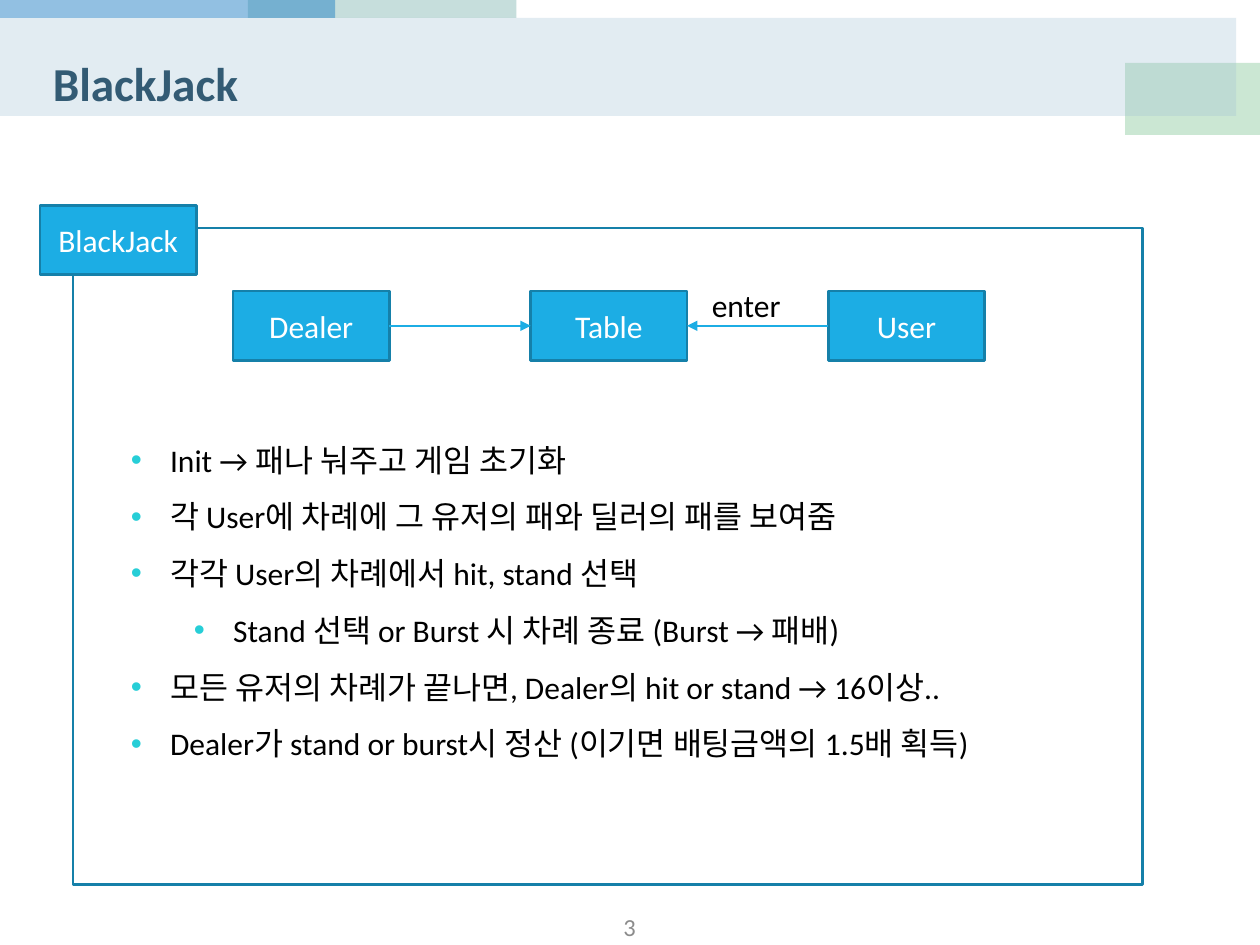
from dataclasses import dataclass

from lxml import etree
from pptx import Presentation
from pptx import util as u
from pptx.dml.color import RGBColor
from pptx.enum import shapes, text
from pptx.oxml.ns import qn


@dataclass(frozen=True)
class Theme:
    """Colours, font and type sizes of the slide."""
    font: str = "Calibri"
    title: str = "335B74"
    accent: str = "1CADE4"
    edge: str = "1580A9"
    bullet: str = "27CED7"
    body: str = "000000"
    light: str = "FFFFFF"
    muted: str = "8C8C8C"
    title_size: int = 27
    body_size: int = 18
    number_size: int = 14


T = Theme()

# left, top, width, height in cm, colour, opacity in percent
BANDS = [
    (5, 0, 5.41, 0.36, "A1C8C5", 60),
    (0, 0, 6.76, 0.36, "2683C6", 50),
    (22.68, 1.27, 2.72, 1.45, "7EC492", 40),
    (0, 0.36, 24.92, 1.98, "A0C1D5", 30),
]
BOX_W, BOX_H = 3.15, 1.4
ROW_LEFT, ROW_TOP, ROW_STEP = 4.7, 5.87, 6
ACTORS = ["Dealer", "Table", "User"]
RULES = [
    (0, "Init → 패나 눠주고 게임 초기화"),
    (0, "각 User에 차례에 그 유저의 패와 딜러의 패를 보여줌"),
    (0, "각각 User의 차례에서 hit, stand 선택"),
    (1, "Stand 선택 or Burst 시 차례 종료 (Burst → 패배)"),
    (0, "모든 유저의 차례가 끝나면, Dealer의 hit or stand → 16이상.."),
    (0, "Dealer가 stand or burst시 정산 (이기면 배팅금액의 1.5배 획득)"),
]


def cm(*values):
    """Turn numbers in cm into lengths."""
    return [u.Cm(v) for v in values]


def add_run(p, words, size, colour, bold=False):
    """Add one formatted run to a paragraph."""
    r = p.add_run()
    r.text = words
    r.font.name, r.font.size, r.font.bold = T.font, u.Pt(size), bold
    r.font.color.rgb = RGBColor.from_string(colour)


def add_rect(s, at, fill=None, line=None, opacity=100):
    """Add a rectangle with optional fill, outline and opacity."""
    sp = s.shapes.add_shape(shapes.MSO_SHAPE.RECTANGLE, *cm(*at))
    sp.shadow.inherit = False
    if fill:
        sp.fill.solid()
        sp.fill.fore_color.rgb = RGBColor.from_string(fill)
        if opacity < 100:
            clr = sp.element.spPr.find(".//" + qn("a:srgbClr"))
            etree.SubElement(clr, qn("a:alpha"), val=str(opacity * 1000))
    else:
        sp.fill.background()
    if line:
        sp.line.color.rgb = RGBColor.from_string(line)
        sp.line.width = u.Pt(1.5)
    else:
        sp.line.fill.background()
    return sp


def add_box(s, left, top, label):
    """Add a labelled box of the diagram."""
    sp = add_rect(s, (left, top, BOX_W, BOX_H), T.accent, T.edge)
    tf = sp.text_frame
    tf.vertical_anchor = text.MSO_ANCHOR.MIDDLE
    p = tf.paragraphs[0]
    p.alignment = text.PP_ALIGN.CENTER
    add_run(p, label, T.body_size, T.light)
    return sp


def add_arrow(s, start, start_site, end, end_site):
    """Join two boxes with an arrow pointing at the second."""
    cx = s.shapes.add_connector(shapes.MSO_CONNECTOR.STRAIGHT, 0, 0, 0, 0)
    cx.begin_connect(start, start_site)
    cx.end_connect(end, end_site)
    cx.line.color.rgb = RGBColor.from_string(T.accent)
    cx.line.width = u.Pt(0.75)
    etree.SubElement(cx.line._get_or_add_ln(), qn("a:tailEnd"), type="triangle")
    etree.SubElement(cx.element.spPr, qn("a:effectLst"))


def add_text(s, at):
    """Add a wrapping text box and return its frame."""
    tf = s.shapes.add_textbox(*cm(*at)).text_frame
    tf.word_wrap = True
    return tf


def set_bullet(p, level):
    """Give a paragraph a coloured bullet and hanging indent."""
    p.level = level
    pPr = p._p.get_or_add_pPr()
    pPr.set("marL", str(u.Cm(0.79 + 1.27 * level)))
    pPr.set("indent", str(-u.Cm(0.79)))
    clr = etree.SubElement(pPr, qn("a:buClr"))
    etree.SubElement(clr, qn("a:srgbClr"), val=T.bullet)
    etree.SubElement(pPr, qn("a:buFont"), typeface="Arial")
    etree.SubElement(pPr, qn("a:buChar"), char="•")


def add_title(s, words):
    """Place and format the title in front of the bands."""
    sp = s.shapes.title
    sp.left, sp.top, sp.width, sp.height = cm(0.81, 0.51, 23.72, 1.75)
    sp.element.getparent().append(sp.element)
    tf = sp.text_frame
    tf.vertical_anchor = text.MSO_ANCHOR.MIDDLE
    p = tf.paragraphs[0]
    p.alignment, p.line_spacing = text.PP_ALIGN.LEFT, 1.5
    add_run(p, words, T.title_size, T.title, bold=True)


def add_number(s, number):
    """Add the page number at the foot."""
    tf = add_text(s, (9.73, 18.34, 5.92, 0.69))
    tf.vertical_anchor = text.MSO_ANCHOR.MIDDLE
    p = tf.paragraphs[0]
    p.alignment = text.PP_ALIGN.CENTER
    add_run(p, number, T.number_size, T.muted)


def add_diagram(s):
    """Add the frame, its tag, the three actors and their arrows."""
    add_rect(s, (1.47, 4.6, 21.56, 13.23), line=T.edge)
    add_box(s, 0.81, 4.14, "BlackJack")
    dealer, table, user = [
        add_box(s, ROW_LEFT + i * ROW_STEP, ROW_TOP, name)
        for i, name in enumerate(ACTORS)
    ]
    add_arrow(s, dealer, 3, table, 1)
    add_arrow(s, user, 1, table, 3)
    p = add_text(s, (14.1, 5.26, 5.46, 1.3)).paragraphs[0]
    p.line_spacing = 1.5
    add_run(p, "enter", T.body_size, T.body)


def add_rules(s):
    """Add the bulleted game rules."""
    tf = add_text(s, (2.39, 8.38, 20.22, 8.2))
    for i, (level, words) in enumerate(RULES):
        p = tf.add_paragraph() if i else tf.paragraphs[0]
        p.line_spacing = 1.5
        set_bullet(p, level)
        add_run(p, words, T.body_size, T.body)


def main():
    """Build and save the slide."""
    prs = Presentation()
    prs.slide_width, prs.slide_height = cm(25.4, 19.05)
    s = prs.slides.add_slide(prs.slide_layouts[5])
    for *at, colour, opacity in BANDS:
        add_rect(s, at, colour, opacity=opacity)
    add_number(s, "3")
    add_title(s, "BlackJack")
    add_diagram(s)
    add_rules(s)
    prs.save("out.pptx")


main()
